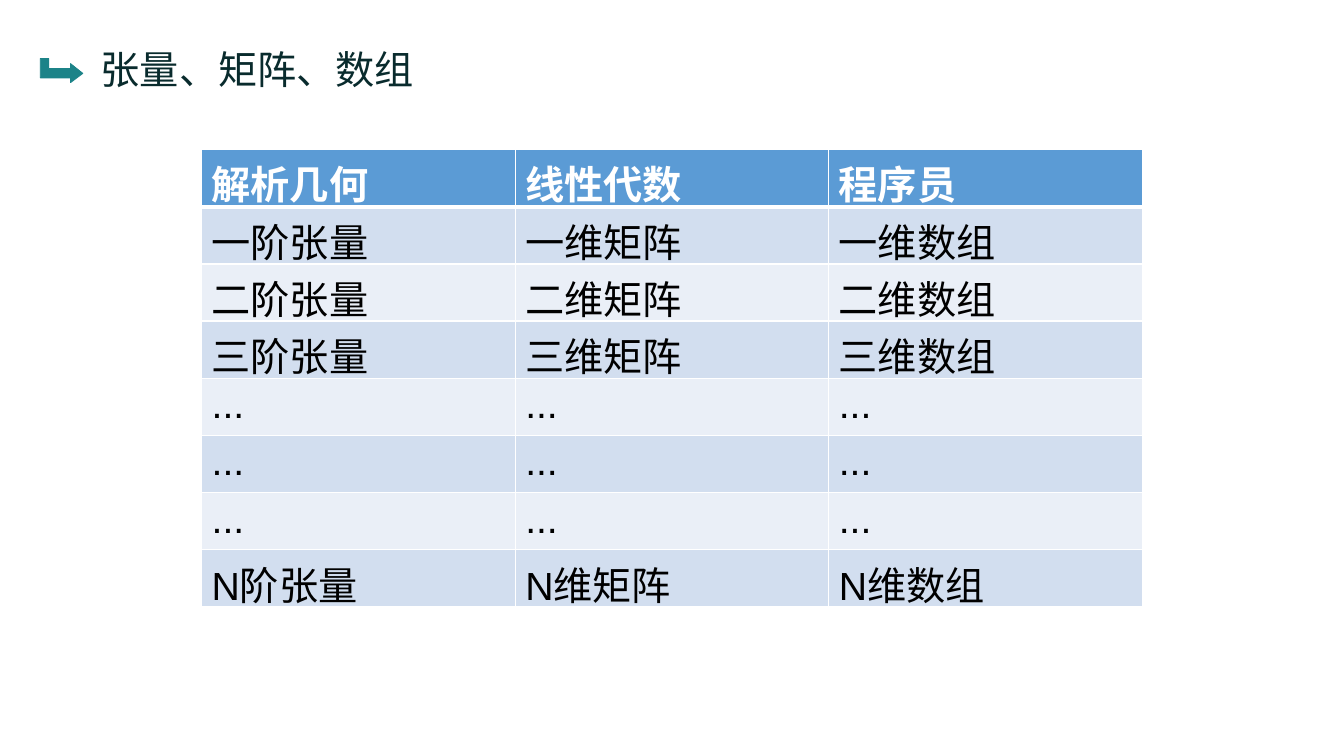
"""Build the slide that compares tensor, matrix and array terms."""
from lxml.etree import SubElement
from pptx import Presentation
from pptx.dml.color import RGBColor
from pptx.enum.text import MSO_ANCHOR as Anchor, MSO_AUTO_SIZE as AutoSize, PP_ALIGN as Align
from pptx.oxml.ns import qn
from pptx.util import Pt

TEAL = RGBColor(0x1C, 0x83, 0x88)
DARK_TEAL = RGBColor(0x09, 0x2B, 0x2D)
WHITE = RGBColor(0xFF, 0xFF, 0xFF)
BLACK = RGBColor(0x00, 0x00, 0x00)
HEADER_BLUE = RGBColor(0x5B, 0x9B, 0xD5)
BAND_DARK = RGBColor(0xD2, 0xDE, 0xEF)
BAND_LIGHT = RGBColor(0xEA, 0xEF, 0xF7)

ARROW = [(28.8, 41.8), (34.8, 41.8), (34.8, 49), (50.4, 49), (50.4, 45.4),
         (59.2, 52.4), (50.4, 59), (50.4, 55.6), (28.8, 55.6)]
ORDERS = ["一", "二", "三", "...", "...", "...", "N"]
HEADINGS = ["解析几何", "线性代数", "程序员"]
TERMS = ["阶张量", "维矩阵", "维数组"]


def write(frame, text, font="Arial", size=28, color=BLACK, bold=False, east_asian=None):
    paragraph = frame.paragraphs[0]
    paragraph.alignment = Align.LEFT
    run = paragraph.add_run()
    run.text = text
    run.font.name = font
    run.font.size = Pt(size)
    run.font.color.rgb = color
    run.font.bold = bold
    if east_asian:
        SubElement(run.font._element, qn("a:ea"), typeface=east_asian)


class Deck:
    def __init__(self, width, height):
        self.show = Presentation()
        self.show.slide_width, self.show.slide_height = Pt(width), Pt(height)
        self.slide = self.show.slides.add_slide(self.show.slide_layouts[5])

    def title(self, text, left, top, width, height):
        heading = self.slide.shapes.title
        heading.left, heading.top = Pt(left), Pt(top)
        heading.width, heading.height = Pt(width), Pt(height)
        frame = heading.text_frame
        frame.word_wrap = False
        frame.auto_size = AutoSize.SHAPE_TO_FIT_TEXT
        frame.vertical_anchor = Anchor.TOP
        write(frame, text, font="Noto Sans CJK SC", color=DARK_TEAL,
              east_asian="Noto Sans CJK SC")

    def outline(self, points, color):
        corners = [(Pt(x), Pt(y)) for x, y in points]
        builder = self.slide.shapes.build_freeform(*corners[0])
        builder.add_line_segments(corners[1:], close=True)
        arrow = builder.convert_to_shape()
        arrow.shadow.inherit = False
        arrow.fill.solid()
        arrow.fill.fore_color.rgb = color
        arrow.line.color.rgb = color
        arrow.line.width = Pt(0.6)

    def border(self, cell, side, width):
        line = SubElement(cell._tc.get_or_add_tcPr(), qn(f"a:ln{side}"), w=str(Pt(width)))
        fill = SubElement(line, qn("a:solidFill"))
        SubElement(fill, qn("a:srgbClr"), val=str(WHITE))

    def table(self, rows, left, top, width, height):
        grid = self.slide.shapes.add_table(
            len(rows), len(rows[0]), Pt(left), Pt(top), Pt(width), Pt(height)).table
        for r, texts in enumerate(rows):
            header = r == 0
            band = HEADER_BLUE if header else BAND_DARK if r % 2 else BAND_LIGHT
            for c, text in enumerate(texts):
                cell = grid.cell(r, c)
                write(cell.text_frame, text, color=WHITE if header else BLACK, bold=header)
                for side in "LRTB":
                    thick = (header and side == "B") or (r == 1 and side == "T")
                    self.border(cell, side, 3 if thick else 1)
                cell.fill.solid()
                cell.fill.fore_color.rgb = band


def main():
    deck = Deck(960, 540)
    deck.outline(ARROW, TEAL)
    deck.title("张量、矩阵、数组", 64.8, 28.8, 238.3, 41)
    body = [[order if order == "..." else order + term for term in TERMS] for order in ORDERS]
    deck.table([HEADINGS] + body, 144, 106.8, 672, 326.2)
    deck.show.save("out.pptx")


if __name__ == "__main__":
    main()
